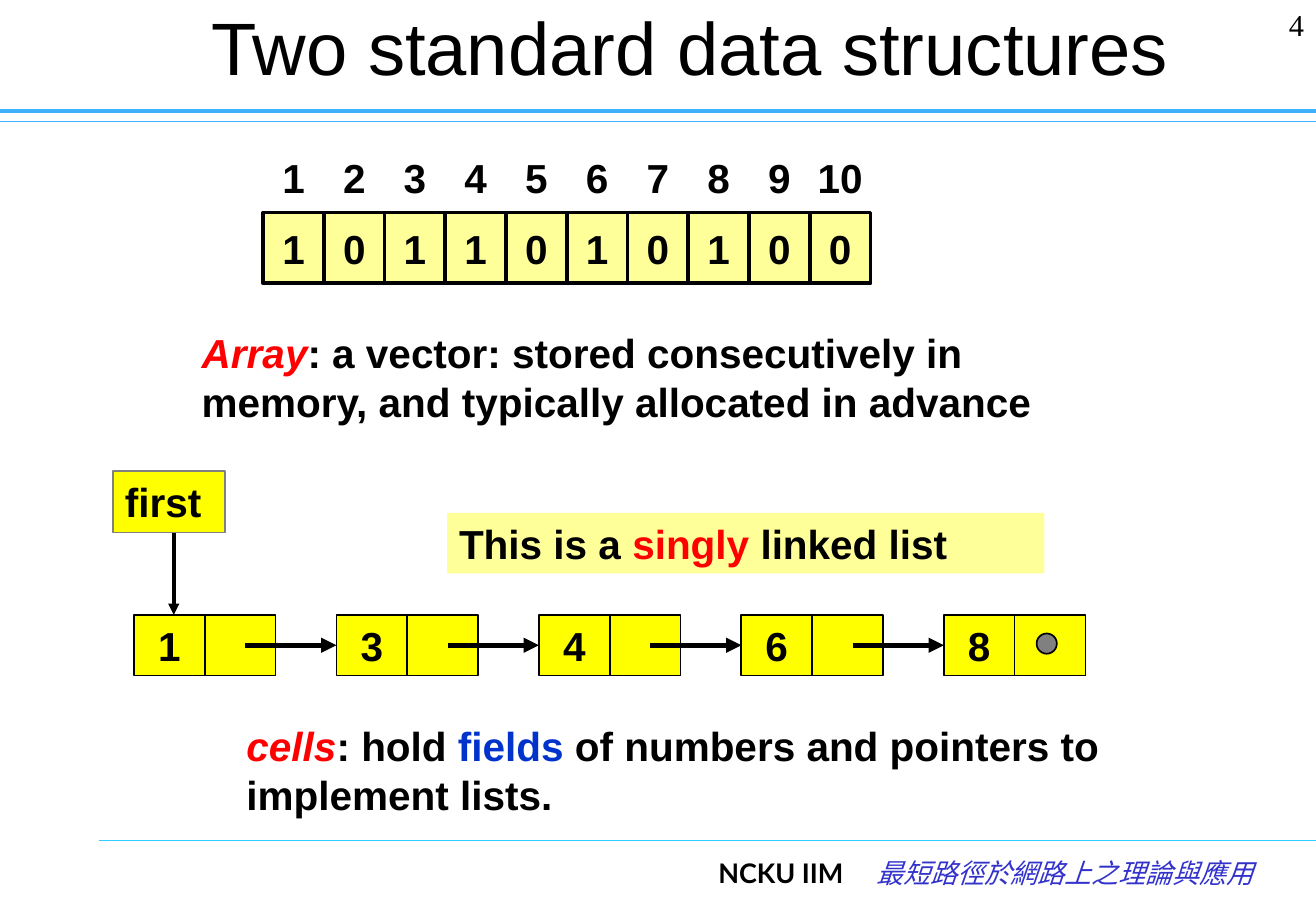
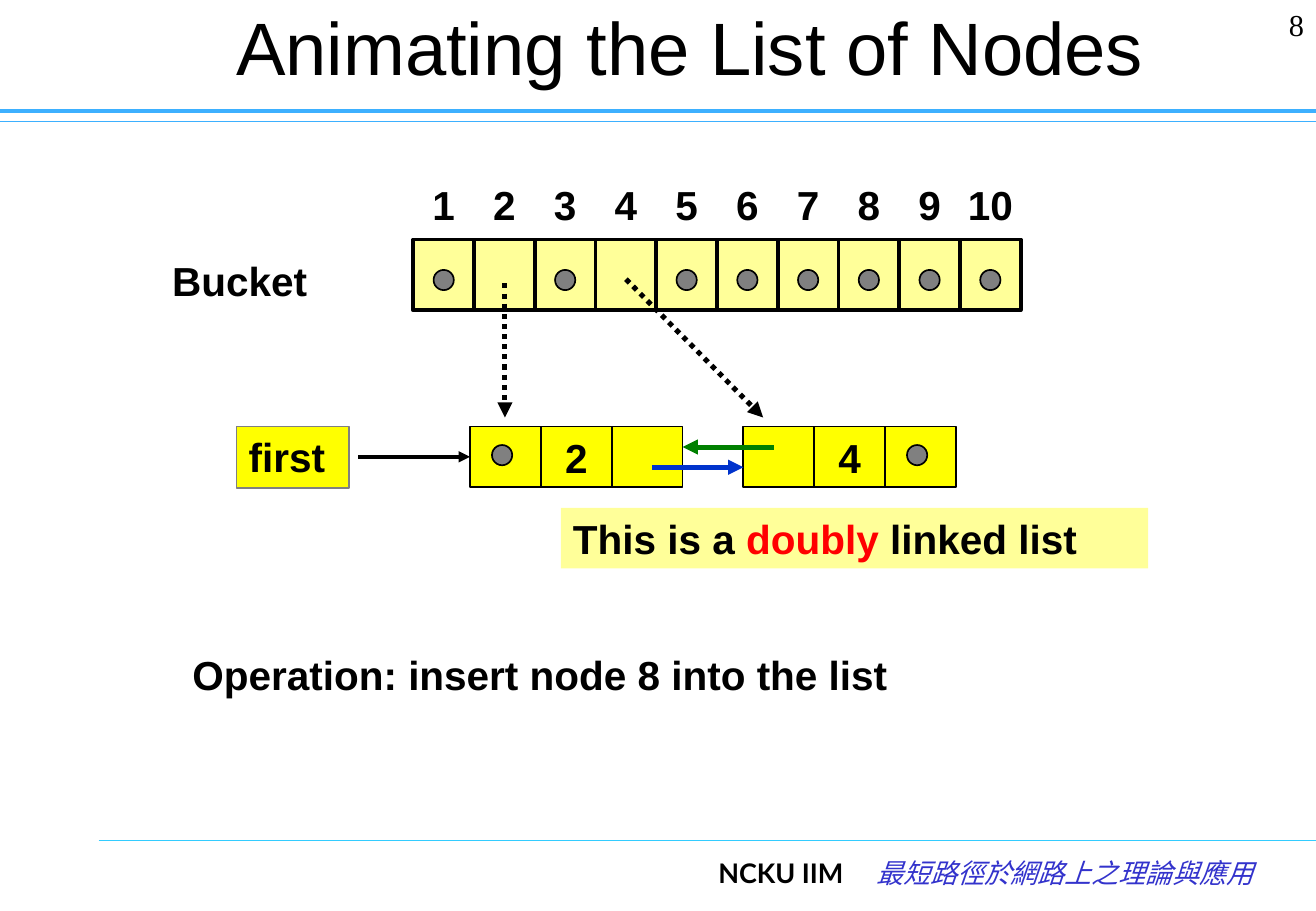
"""Build two slides on arrays and linked lists."""
from lxml import etree
from pptx import Presentation
from pptx import util as u
from pptx.dml.color import RGBColor
from pptx.enum import dml, shapes, text
from pptx.oxml import ns

WIDTH, HEIGHT = 780, 540
BLACK, GRAY, RED, BLUE, GREEN = "000000", "808080", "FF0000", "0033CC", "008000"
YELLOW, PALE = "FFFF00", "FFFF99"
BAND, FOOTER_LINE, FOOTER_TEXT = "3DB0FF", "33CCFF", "3333CC"
CELL_WIDTH, CELL_HEIGHT, INDEX_HEIGHT = 36, 42, 42
FIELD_WIDTH, FIELD_HEIGHT = 42, 36
DOT = 12
NULL, LINKED = None, ""

RULES = [(0, 72, BAND, 0.75), (0, 66, BAND, 2.5), (58.5, 498, FOOTER_LINE, 0.75)]
FOOTERS = [
    ((143, 504, 364, 36), "NCKU IIM", dict(name="Lato", color=BLACK, bold=True)),
    ((507, 504, 243, 36), "最短路徑於網路上之理論與應用",
     dict(name="Noto Sans Mono", color=FOOTER_TEXT, bold=False, italic=True)),
]
SLIDES = [
    {
        "title": "Two standard data structures",
        "number": "4",
        "array": (156, 126, ["1", "0", "1", "1", "0", "1", "0", "1", "0", "0"]),
        "nodes": (79.4, 364.5, 120, [["1", LINKED], ["3", LINKED], ["4", LINKED],
                                     ["6", LINKED], ["8", NULL]]),
        "first": (67, 279.2),
        "texts": [
            ((112.5, 191, 546, 66), None,
             [("Array", RED, True),
              (": a vector: stored consecutively in memory, "
               "and typically allocated in advance", BLACK)]),
            ((139, 424, 522, 66), None,
             [("cells", RED, True), (": hold ", BLACK), ("fields", BLUE),
              (" of numbers and pointers to implement lists.", BLACK)]),
            ((265, 304, 354, 36), PALE,
             [("This is a ", BLACK), ("singly", RED), (" linked list", BLACK)]),
        ],
        "arrows": [((103, 316), (103, 364.5), BLACK, 2.25, False)]
        + [((145.4 + 120 * i, 382.5), (199.4 + 120 * i, 382.5), BLACK, 3, False)
           for i in range(4)],
    },
    {
        "title": "Animating the List of Nodes",
        "number": "8",
        "array": (245, 142, [NULL, LINKED, NULL, LINKED] + [NULL] * 6),
        "nodes": (278.6, 252.8, 162, [[NULL, "2", LINKED], [LINKED, "4", NULL]]),
        "first": (140.3, 252.8),
        "texts": [
            ((95, 148, 120, 36.5), None, [("Bucket", BLACK)]),
            ((107, 382, 504, 36), None,
             [("Operation: insert node 8 into the list", BLACK)]),
            ((332.5, 301, 348, 36), PALE,
             [("This is a ", BLACK), ("doubly", RED), (" linked list", BLACK)]),
        ],
        "arrows": [
            ((386.6, 277), (440.6, 277), BLUE, 3, False),
            ((458.6, 265), (404.6, 265), GREEN, 3, False),
            ((212.4, 270.8), (278.6, 270.8), BLACK, 2.25, False),
            ((299.3, 168), (299.3, 247.5), BLACK, 3, True),
            ((371, 165.5), (452.3, 247.5), BLACK, 3, True),
        ],
    },
]


def rgb(value):
    """Turn a hex string into a colour."""
    return RGBColor.from_string(value)


def points(*values):
    """Convert numbers to point lengths."""
    return [u.Pt(value) for value in values]


def add_run(paragraph, words, color=BLACK, italic=False, size=24, name="Arial", bold=True):
    """Append one formatted run."""
    run = paragraph.add_run()
    run.text = words
    font = run.font
    font.size, font.name, font.bold, font.italic = u.Pt(size), name, bold, italic
    font.color.rgb = rgb(color)


def add_line(slide, start, end, color, width, arrow=False, dotted=False):
    """Draw a straight line, with an arrowhead at its end if asked."""
    line = slide.shapes.add_connector(shapes.MSO_CONNECTOR.STRAIGHT, *points(*start, *end))
    line.line.color.rgb, line.line.width = rgb(color), u.Pt(width)
    if dotted:
        line.line.dash_style = dml.MSO_LINE.ROUND_DOT
    properties = line._element.spPr
    if arrow:
        etree.SubElement(properties.find(ns.qn("a:ln")), ns.qn("a:tailEnd"), type="triangle")
    etree.SubElement(properties, ns.qn("a:effectLst"))


def add_shape(slide, box, fill, line=None, width=1, kind=shapes.MSO_SHAPE.RECTANGLE):
    """Draw a flat preset shape."""
    shape = slide.shapes.add_shape(kind, *points(*box))
    shape.shadow.inherit = False
    shape.fill.solid()
    shape.fill.fore_color.rgb = rgb(fill)
    if line:
        shape.line.color.rgb, shape.line.width = rgb(line), u.Pt(width)
    else:
        shape.line.fill.background()
    return shape


def write(shape, runs, align=text.PP_ALIGN.LEFT, anchor=text.MSO_ANCHOR.TOP, wrap=True, **style):
    """Fill the one paragraph of a shape with runs."""
    frame = shape.text_frame
    frame.auto_size, frame.word_wrap = text.MSO_AUTO_SIZE.NONE, wrap
    frame.vertical_anchor = anchor
    paragraph = frame.paragraphs[0]
    paragraph.alignment = align
    for run in runs:
        add_run(paragraph, *run, **style)


def write_centered(shape, words):
    """Centre one label in a cell."""
    write(shape, [(words,)], text.PP_ALIGN.CENTER, text.MSO_ANCHOR.MIDDLE, wrap=False)


def add_text(slide, box, fill, runs, **style):
    """Add text on a plain or filled box."""
    shape = add_shape(slide, box, fill) if fill else slide.shapes.add_textbox(*points(*box))
    write(shape, runs, **style)


def add_cell(slide, box, value, fill, width, dot_center):
    """Draw a cell that holds a label, a null dot or the start of an arrow."""
    cell = add_shape(slide, box, fill, BLACK, width)
    if value is NULL:
        x, y = (box[i] + dot_center[i] - DOT / 2 for i in range(2))
        add_shape(slide, (x, y, DOT, DOT), GRAY, BLACK, kind=shapes.MSO_SHAPE.OVAL)
    elif value:
        write_centered(cell, value)


def add_array(slide, left, top, values):
    """Draw the numbered array."""
    for i, value in enumerate(values):
        x = left + i * CELL_WIDTH
        add_cell(slide, (x, top, CELL_WIDTH, CELL_HEIGHT), value, PALE, 2.25, (18, 24))
        index = slide.shapes.add_textbox(
            *points(x, top - INDEX_HEIGHT, CELL_WIDTH, INDEX_HEIGHT))
        write_centered(index, str(i + 1))


def add_nodes(slide, left, top, pitch, nodes):
    """Draw the list nodes, each a row of fields."""
    for i, fields in enumerate(nodes):
        for j, value in enumerate(fields):
            box = (left + i * pitch + j * FIELD_WIDTH, top, FIELD_WIDTH, FIELD_HEIGHT)
            add_cell(slide, box, value, YELLOW, 1, (19, 17))


def add_frame(slide, title, number):
    """Add the title, rules, footer and page number."""
    heading = slide.shapes.title
    heading.left, heading.top, heading.width, heading.height = points(103.5, 0, 611.5, 54)
    write(heading, [(title,)], text.PP_ALIGN.CENTER, text.MSO_ANCHOR.MIDDLE,
          size=44, bold=False)
    for left, y, color, width in RULES:
        add_line(slide, (left, y), (WIDTH, y), color, width)
    for box, words, style in FOOTERS:
        add_text(slide, box, None, [(words,)], align=text.PP_ALIGN.RIGHT, size=16, **style)
    add_text(slide, (715, 0, 65, 36), None, [(number,)], align=text.PP_ALIGN.RIGHT,
             size=18, name="Times New Roman", bold=False)


def main():
    """Build and save the presentation."""
    presentation = Presentation()
    presentation.slide_width, presentation.slide_height = points(WIDTH, HEIGHT)
    for content in SLIDES:
        slide = presentation.slides.add_slide(presentation.slide_layouts[5])
        add_frame(slide, content["title"], content["number"])
        add_array(slide, *content["array"])
        add_nodes(slide, *content["nodes"])
        write(add_shape(slide, (*content["first"], 66.5, 36.5), YELLOW, GRAY), [("first",)])
        for box, fill, runs in content["texts"]:
            add_text(slide, box, fill, runs)
        for start, end, color, width, dotted in content["arrows"]:
            add_line(slide, start, end, color, width, True, dotted)
    presentation.save("out.pptx")


if __name__ == "__main__":
    main()
